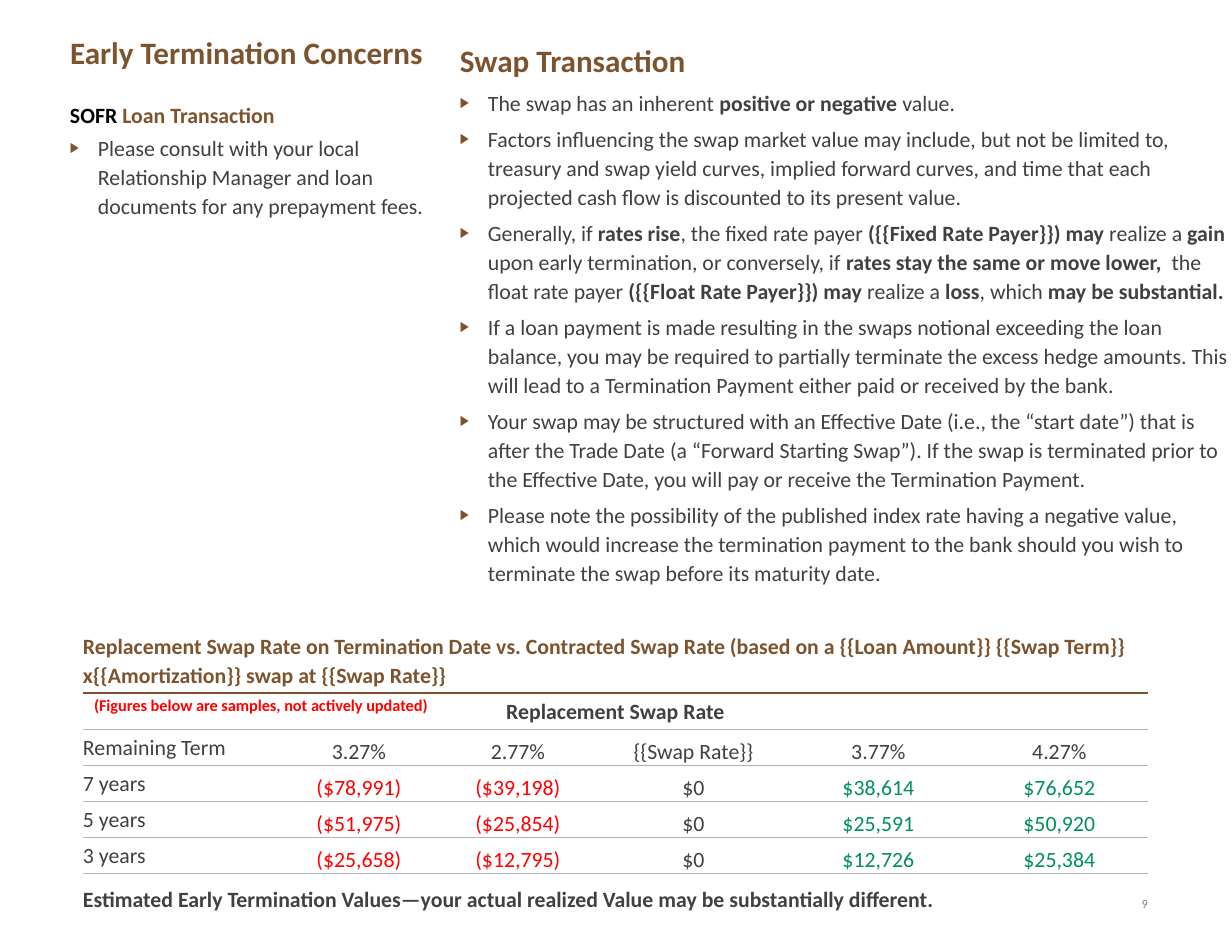
"""Build the swap early termination slide with its replacement rate table."""
from lxml.etree import SubElement
from pptx import Presentation
from pptx.dml.color import RGBColor
from pptx.enum.text import MSO_ANCHOR, MSO_AUTO_SIZE, PP_ALIGN
from pptx.oxml.ns import qn
from pptx.util import Emu, Pt

FONT = "Calibri"
C = {"brown": "7D532F", "text": "404040", "black": "000000", "red": "FF0000",
     "green": "00915A", "line": "B1B3B3", "number": "7F7F7F"}
NO_STYLE = "{2D5ABB26-0587-4C30-8999-92F81FD0307C}"

TITLE = "Early Termination Concerns"
LOAN_HEADING = [("SOFR ", "black"), ("Loan Transaction", "brown")]
LOAN_POINTS = ["Please consult with your local Relationship Manager and loan documents "
               "for any prepayment fees."]
SWAP_HEADING = [("Swap Transaction", "brown")]
SWAP_POINTS = [
    "The swap has an inherent **positive or negative **value.",
    "Factors influencing the swap market value may include, but not be limited to, "
    "treasury and swap yield curves, implied forward curves, and time that each "
    "projected cash flow is discounted to its present value.",
    "Generally, if **rates rise**, the fixed rate payer **({{Fixed Rate Payer}}) may** "
    "realize a **gain **upon early termination, or conversely, if **rates stay the same "
    "or move lower,  **the float rate payer **({{Float Rate Payer}}) may **realize a"
    "** loss**, which **may be substantial.**",
    "If a loan payment is made resulting in the swaps notional exceeding the loan "
    "balance, you may be required to partially terminate the excess hedge amounts. "
    "This will lead to a Termination Payment either paid or received by the bank.",
    "Your swap may be structured with an Effective Date (i.e., the “start date”) that "
    "is after the Trade Date (a “Forward Starting Swap”). If the swap is terminated "
    "prior to the Effective Date, you will pay or receive the Termination Payment.",
    "Please note the possibility of the published index rate having a negative value, "
    "which would increase the termination payment to the bank should you wish to "
    "terminate the swap before its maturity date.",
]
TABLE_TITLE = ("Replacement Swap Rate on Termination Date vs. Contracted Swap Rate (based on a "
               "{{Loan Amount}} {{Swap Term}}x{{Amortization}} swap at {{Swap Rate}}")
TABLE_HEADING = "Replacement Swap Rate"
TABLE_NOTE = ("Estimated Early Termination Values—your actual realized Value may be "
              "substantially different.")
RATES = ["Remaining Term", "3.27%", "2.77%", "{{Swap Rate}}", "3.77%", "4.27%"]
VALUES = [
    ["7 years", "($78,991)", "($39,198)", "$0", "$38,614", "$76,652"],
    ["5 years", "($51,975)", "($25,854)", "$0", "$25,591", "$50,920"],
    ["3 years", "($25,658)", "($12,795)", "$0", "$12,726", "$25,384"],
]
VALUE_COLORS = ["text", "red", "red", "text", "green", "green"]
SAMPLE_NOTE = "(Figures below are samples, not actively updated)"
COLS = [200, 152, 166, 185, 185, 177]
ROWS = [65, 36, 36, 36, 36, 36, 44]


def px(n):
    return Emu(round(n * 914400 / 112))


def add_run(p, text, size, color, bold=False):
    r = p.add_run()
    r.text = text
    r.font.name, r.font.size, r.font.bold = FONT, Pt(size), bold
    r.font.color.rgb = RGBColor.from_string(C[color])


def set_frame(tf):
    tf.word_wrap = True
    tf.auto_size = MSO_AUTO_SIZE.NONE
    tf.vertical_anchor = MSO_ANCHOR.TOP
    tf.margin_left = tf.margin_top = tf.margin_right = tf.margin_bottom = 0
    return tf


def add_text(s, x, y, w, h):
    return set_frame(s.shapes.add_textbox(px(x), px(y), px(w), px(h)).text_frame)


def add_bullet(p):
    pPr = p._p.get_or_add_pPr()
    pPr.set("marL", "228600")
    pPr.set("indent", "-228600")
    SubElement(SubElement(pPr, qn("a:buClr")), qn("a:srgbClr"), val=C["brown"])
    SubElement(pPr, qn("a:buSzPct"), val="65000")
    SubElement(pPr, qn("a:buFont"), typeface="Arial")
    SubElement(pPr, qn("a:buChar"), char="▶")


def add_section(s, box, heading, size, points, gap):
    tf = add_text(s, *box)
    p = tf.paragraphs[0]
    p.line_spacing, p.space_before = 1.1, Pt(10)
    for text, color in heading:
        add_run(p, text, size, color, True)
    for point in points:
        p = tf.add_paragraph()
        p.line_spacing, p.space_before = 1.1, Pt(gap)
        add_bullet(p)
        for i, text in enumerate(point.split("**")):
            if text:
                add_run(p, text, 14, "text", i % 2 == 1)


def add_border(cell, side, color, width):
    ln = SubElement(cell._tc.get_or_add_tcPr(), qn(f"a:{side}"), w=str(Pt(width)))
    SubElement(SubElement(ln, qn("a:solidFill")), qn("a:srgbClr"), val=C[color])


def fill_cell(cell, text, color, bold=False, number=False, centred=False, top=3):
    p = cell.text_frame.paragraphs[0]
    if number:
        cell.vertical_anchor = MSO_ANCHOR.BOTTOM
        cell.margin_left = cell.margin_right = cell.margin_top = px(1)
        cell.margin_bottom = 0
    else:
        cell.vertical_anchor = MSO_ANCHOR.MIDDLE
        cell.margin_left = cell.margin_right = 0
        cell.margin_top, cell.margin_bottom = px(top), px(3)
        p.line_spacing = 1.1
    if number or centred:
        p.alignment = PP_ALIGN.CENTER
    add_run(p, text, 14, color, bold)


def add_rate_table(s, x, y):
    frame = s.shapes.add_table(len(ROWS), len(COLS), px(x), px(y), px(sum(COLS)), px(sum(ROWS)))
    table = frame.table
    table.first_row = table.horz_banding = False
    table._tbl.tblPr.find(qn("a:tableStyleId")).text = NO_STYLE
    for col, w in zip(table.columns, COLS):
        col.width = px(w)
    last = len(ROWS) - 1
    rules = [("brown", 1)] + [("line", 0.5)] * (last - 1)
    for i, row in enumerate(table.rows):
        row.height = px(ROWS[i])
        for cell in row.cells:
            if i > 0:
                add_border(cell, "lnT", *rules[i - 1])
            if i < last:
                add_border(cell, "lnB", *rules[i])
            cell.fill.background()
    for i in (0, 1, last):
        table.cell(i, 0).merge(table.cell(i, len(COLS) - 1))
    fill_cell(table.cell(0, 0), TABLE_TITLE, "brown", True)
    fill_cell(table.cell(1, 0), TABLE_HEADING, "text", True, centred=True)
    fill_cell(table.cell(last, 0), TABLE_NOTE, "text", True, top=11)
    for i, values in enumerate([RATES] + VALUES):
        colors = VALUE_COLORS if i else ["text"] * len(COLS)
        for j, (text, color) in enumerate(zip(values, colors)):
            fill_cell(table.cell(i + 2, j), text, color, number=j > 0)


def main():
    prs = Presentation()
    prs.slide_width, prs.slide_height = px(1232), px(952)
    s = prs.slides.add_slide(prs.slide_layouts[5])

    title = s.shapes.title
    title.left, title.top, title.width, title.height = px(70), px(38), px(1063), px(84)
    p = set_frame(title.text_frame).paragraphs[0]
    p.alignment, p.line_spacing = PP_ALIGN.LEFT, 0.9
    add_run(p, TITLE, 20, "brown", True)

    p = add_text(s, 1109, 896, 39, 28).paragraphs[0]
    p.alignment = PP_ALIGN.RIGHT
    add_run(p, "9", 8, "number")

    add_section(s, (70, 99, 395, 408), LOAN_HEADING, 14, LOAN_POINTS, 3)
    add_rate_table(s, 83, 628)
    add_section(s, (460, 38, 772, 577), SWAP_HEADING, 20, SWAP_POINTS, 5)

    p = add_text(s, 94, 697, 382, 35).paragraphs[0]
    p.line_spacing, p.space_before = 0.9, Pt(5)
    add_run(p, SAMPLE_NOTE, 10.5, "red", True)
    prs.save("out.pptx")


if __name__ == "__main__":
    main()
